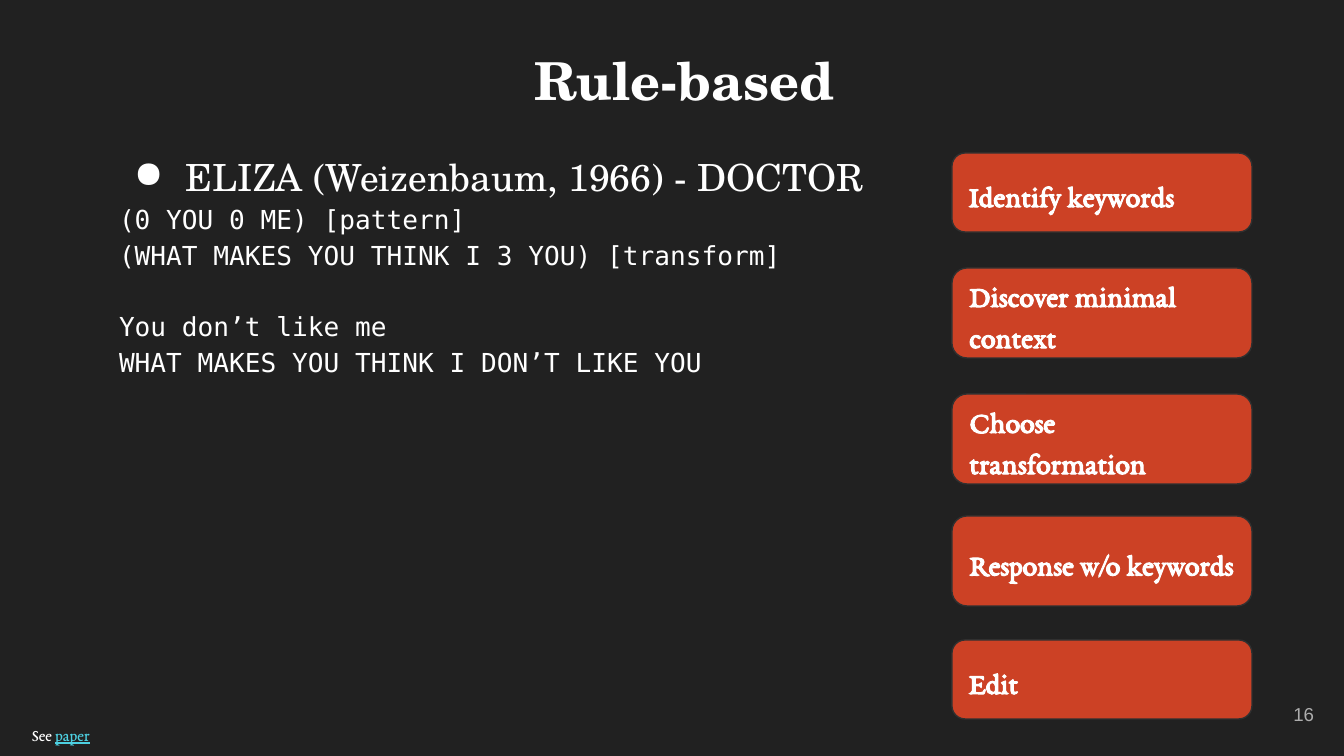
import pptx
import pptx.util
import pptx.dml.color
import pptx.enum.shapes
import pptx.enum.text
import pptx.oxml
import pptx.oxml.ns

RGB = pptx.dml.color.RGBColor
DARK = RGB(0x21, 0x21, 0x21)
WHITE = RGB(0xFF, 0xFF, 0xFF)
GREY = RGB(0xAD, 0xAD, 0xAD)
RED = RGB(0xCC, 0x41, 0x25)
EDGE = RGB(0x30, 0x30, 0x30)
CYAN = RGB(0x4D, 0xD0, 0xE1)

SERIF = "TeX Gyre Schola"
MONO = "DejaVu Sans Mono"
BOOK = "EB Garamond"
SANS = "Arial"

ALIGN = pptx.enum.text.PP_ALIGN
MIDDLE = pptx.enum.text.MSO_ANCHOR.MIDDLE
TOP = pptx.enum.text.MSO_ANCHOR.TOP
SCALE = 914400 / 134.4


def px(n):
    return pptx.util.Emu(round(n * SCALE))


class Deck:
    def __init__(self, wide, high):
        self.prs = pptx.Presentation()
        self.prs.slide_width = px(wide)
        self.prs.slide_height = px(high)
        self.slide = self.prs.slides.add_slide(self.prs.slide_layouts[6])
        fill = self.slide.background.fill
        fill.solid()
        fill.fore_color.rgb = DARK

    def frame(self, shape, anchor):
        frame = shape.text_frame
        frame.word_wrap = True
        frame.vertical_anchor = anchor
        frame.margin_left = frame.margin_right = px(13)
        frame.margin_top = frame.margin_bottom = px(13)
        return frame

    def text(self, x, y, w, h, anchor=TOP):
        box = self.slide.shapes.add_textbox(px(x), px(y), px(w), px(h))
        return self.frame(box, anchor)

    def para(self, frame, align=ALIGN.LEFT, space=None, before=None):
        first = frame.paragraphs[0]
        para = frame.add_paragraph() if first.runs else first
        para.alignment = align
        para.line_spacing = space
        para.space_before = before
        return para

    def run(self, para, text, size, face, color=WHITE, bold=False, under=False):
        run = para.add_run()
        run.text = text
        font = run.font
        font.size = pptx.util.Pt(size)
        font.name = face
        font.color.rgb = color
        font.bold = bold
        font.underline = under

    def bullet(self, para, left, hang):
        props = para._p.get_or_add_pPr()
        props.set("marL", str(px(left)))
        props.set("indent", str(-px(hang)))
        space = pptx.oxml.ns.nsdecls("a")
        for xml in (f'<a:buClr {space}><a:srgbClr val="{WHITE}"/></a:buClr>',
                    f'<a:buChar {space} char="●"/>'):
            props.append(pptx.oxml.parse_xml(xml))

    def card(self, x, y, w, h, lines):
        kind = pptx.enum.shapes.MSO_SHAPE.ROUNDED_RECTANGLE
        card = self.slide.shapes.add_shape(kind, px(x), px(y), px(w), px(h))
        card.shadow.inherit = False
        card.fill.solid()
        card.fill.fore_color.rgb = RED
        card.line.color.rgb = EDGE
        card.line.width = pptx.util.Pt(0.75)
        para = self.para(self.frame(card, MIDDLE), space=1.15)
        for i, line in enumerate(lines):
            if i:
                para.add_line_break()
            self.run(para, line, 16, BOOK, bold=True)


def main():
    deck = Deck(1344, 756)

    # Title
    para = deck.para(deck.text(90, 35, 1189, 112), ALIGN.CENTER)
    deck.run(para, "Rule-based", 28, SERIF, bold=True)

    # Page number
    para = deck.para(deck.text(1246, 685, 81, 58, MIDDLE), ALIGN.RIGHT)
    deck.run(para, "16", 10, SANS, GREY)

    # Bullet, then the rules and the sample talk
    body = deck.text(106, 134, 1132, 602)
    para = deck.para(body, space=1.15)
    deck.bullet(para, 67, 52)
    deck.run(para, "ELIZA (Weizenbaum, 1966) - DOCTOR", 20, SERIF)
    gap = pptx.util.Pt(19)
    for line, before in (
        ("(0 YOU 0 ME) [pattern]", None),
        ("(WHAT MAKES YOU THINK I 3 YOU) [transform]", None),
        ("You don’t like me", gap),
        ("WHAT MAKES YOU THINK I DON’T LIKE YOU", None),
    ):
        para = deck.para(body, space=1.15, before=before)
        deck.run(para, line, 14, MONO)

    # Step cards
    for y, h, lines in (
        (153, 79, ["Identify keywords"]),
        (268, 90, ["Discover minimal", "context"]),
        (394, 90, ["Choose transformation"]),
        (516, 90, ["Response w/o keywords"]),
        (640, 79, ["Edit"]),
    ):
        deck.card(952, y, 300, h, lines)

    # Source note
    para = deck.para(deck.text(19, 715, 984, 42))
    deck.run(para, "See ", 9, BOOK)
    deck.run(para, "paper", 9, BOOK, CYAN, bold=False, under=True)

    deck.prs.save("out.pptx")


if __name__ == "__main__":
    main()
